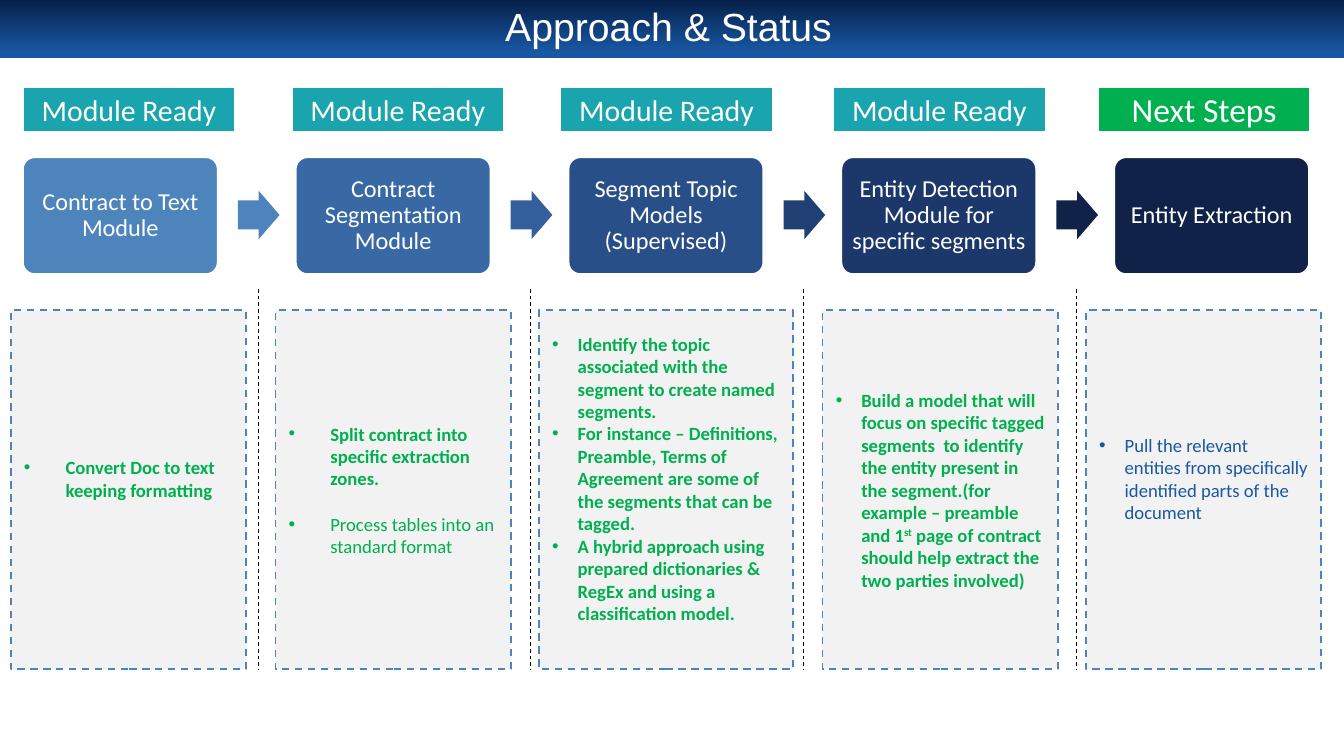
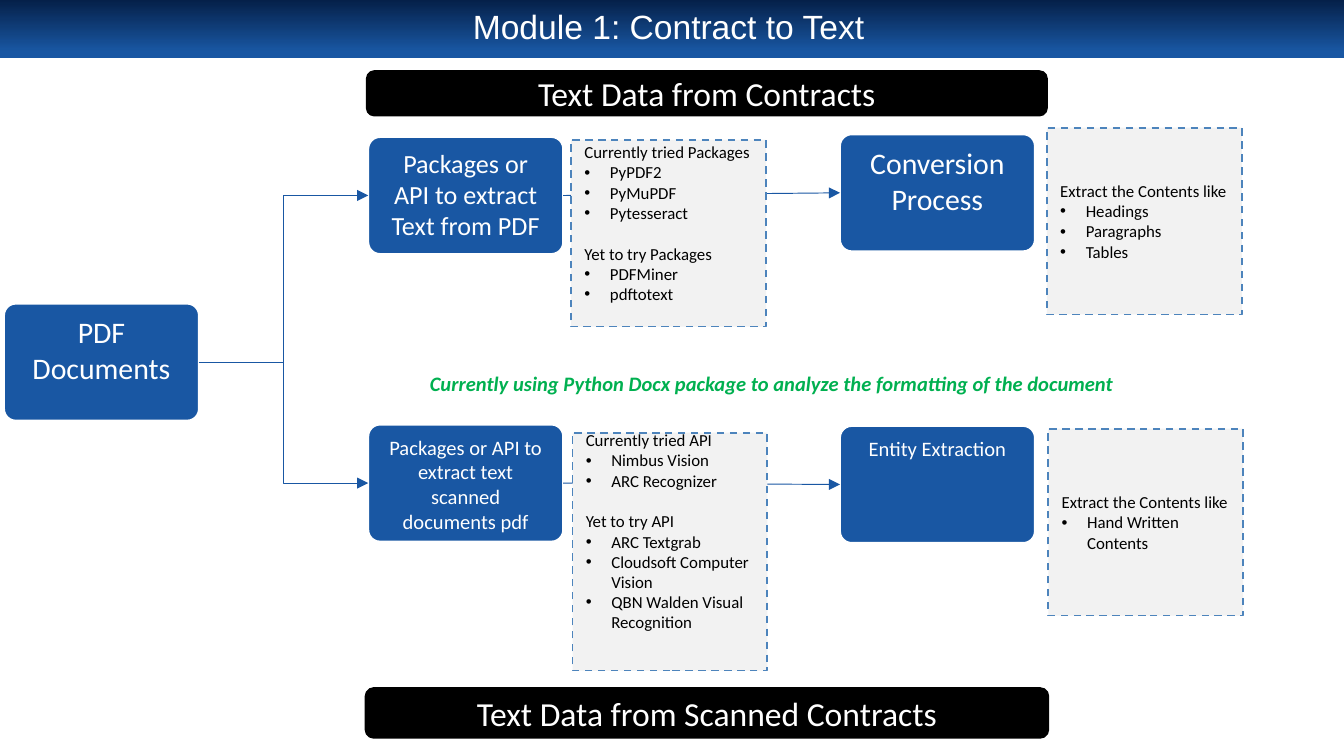
from lxml.etree import SubElement
from pptx import Presentation
from pptx.dml.color import RGBColor
from pptx.enum.dml import MSO_LINE
from pptx.enum.shapes import MSO_CONNECTOR, MSO_SHAPE
from pptx.enum.text import MSO_ANCHOR, MSO_AUTO_SIZE, PP_ALIGN
from pptx.oxml.ns import qn
from pptx.util import Inches, Pt

WIDE = 10
HIGH = WIDE * 9 / 16
HEX = {
    "navy": "052049", "blue": "1957A3", "sky": "4D84BC", "white": "FFFFFF",
    "black": "000000", "pale": "F2F2F2", "green": "00B050", "teal": "1AA4AD",
}

BADGES = [
    (0.17, "Module Ready", "teal", 16),
    (2.17, "Module Ready", "teal", 16),
    (4.17, "Module Ready", "teal", 16),
    (6.2, "Module Ready", "teal", 16),
    (8.17, "Next Steps", "green", 18),
]
STEPS = [
    ("Contract to Text Module", "4D84BC", "4D84BC"),
    ("Contract Segmentation Module", "3869A5", "33609C"),
    ("Segment Topic Models (Supervised)", "294F88", "203F73"),
    ("Entity Detection Module for specific segments", "1C3769", "112248"),
    ("Entity Extraction", "112248", None),
]
NOTES = [
    (0.08, 1.75, 0.31, "green", ["*•Convert Doc to text keeping formatting", ""]),
    (2.05, 1.75, 0.31, "green", [
        "*•Split contract into specific extraction zones.", "",
        "•Process tables into an standard format"]),
    (4.01, 1.89, 0.19, "green", [
        "*•Identify the topic associated with the segment to create named segments.",
        "*•For instance – Definitions, Preamble, Terms of Agreement are some of "
        "the segments that can be tagged.",
        "*•A hybrid approach using prepared dictionaries & RegEx and using a "
        "classification model.", ""]),
    (6.12, 1.75, 0.19, "green", [
        "*•Build a model that will focus on specific tagged segments  to identify "
        "the entity present in the segment.(for example – preamble and 1^st^ page "
        "of contract should help extract the two parties involved)"]),
    (8.08, 1.75, 0.19, "blue", [
        "•Pull the relevant entities from specifically identified parts of the "
        "document", ""]),
]

LABELS = [
    (2.73, 0.53, 5.06, 0.33, "Text Data from Contracts"),
    (2.72, 5.12, 5.08, 0.37, "Text Data from Scanned Contracts"),
]
NODES = {
    "pdf": (0.03, 2.26, "PDF Documents", 16),
    "text": (2.74, 1.02, "Packages or API to extract Text from PDF", 14),
    "conv": (6.25, 1, "Conversion Process", 16),
    "scan": (2.74, 3.16, "Packages or API to extract text scanned documents pdf", 11),
    "ent": (6.25, 3.17, "Entity Extraction", 11),
}
LINKS = [
    ("pdf", "text", MSO_CONNECTOR.ELBOW), ("pdf", "scan", MSO_CONNECTOR.ELBOW),
    ("text", "conv", MSO_CONNECTOR.STRAIGHT), ("scan", "ent", MSO_CONNECTOR.STRAIGHT),
]
LISTS = [
    (7.79, 0.95, 1.39, [
        "Extract the Contents like", "•Headings", "•Paragraphs", "•Tables"]),
    (7.8, 3.19, 1.39, ["Extract the Contents like", "•Hand Written Contents"]),
    (4.25, 1.04, 1.39, [
        "Currently tried Packages", "•PyPDF2", "•PyMuPDF", "•Pytesseract", "",
        "Yet to try Packages", "•PDFMiner", "•pdftotext", ""]),
    (4.26, 3.22, 1.77, [
        "Currently tried API", "•Nimbus Vision", "•ARC Recognizer", "",
        "Yet to try API", "•ARC Textgrab", "•Cloudsoft Computer Vision",
        "•QBN Walden Visual Recognition", "", ""]),
]
REMARK = "Currently using Python Docx package to analyze the formatting of the document"


def tint(name):
    return RGBColor.from_string(HEX.get(name, name))


def style(run, size, color, bold=False, face="Calibri"):
    font = run.font
    font.name, font.size, font.bold = face, Pt(size), bold
    font.color.rgb = tint(color)


def shape(slide, kind, box, fill, edge=None, adjust=()):
    item = slide.shapes.add_shape(kind, *map(Inches, box))
    item.shadow.inherit = False
    for spot, value in enumerate(adjust):
        item.adjustments[spot] = value
    item.fill.solid()
    item.fill.fore_color.rgb = tint(fill)
    if edge:
        item.line.color.rgb = tint(edge)
        item.line.width = Pt(1)
    else:
        item.line.fill.background()
    return item


def label(item, text, size, anchor=MSO_ANCHOR.MIDDLE, face="Calibri"):
    frame = item.text_frame
    frame.text = text
    frame.word_wrap = True
    frame.vertical_anchor = anchor
    para = frame.paragraphs[0]
    para.alignment = PP_ALIGN.CENTER
    style(para.runs[0], size, "white", face=face)
    return para


def bullet(para, indent):
    props = para._p.get_or_add_pPr()
    props.set("marL", str(Inches(indent)))
    props.set("indent", str(-Inches(indent)))
    SubElement(props, qn("a:buFont"), typeface="Arial")
    SubElement(props, qn("a:buChar"), char="•")


def note(slide, box, lines, size, color, indent=0.19):
    item = shape(slide, MSO_SHAPE.RECTANGLE, box, "pale", "sky")
    item.line.dash_style = MSO_LINE.DASH
    frame = item.text_frame
    frame.word_wrap = True
    frame.vertical_anchor = MSO_ANCHOR.MIDDLE
    para, gap = None, 0
    for line in lines:
        if not line:
            gap += 1.22 * size
            continue
        para = frame.add_paragraph() if para else frame.paragraphs[0]
        para.alignment = PP_ALIGN.LEFT
        bold, line = line.startswith("*"), line.lstrip("*")
        if line.startswith("•"):
            bullet(para, indent)
        if gap:
            para.space_before = Pt(gap)
        gap = 0
        for turn, part in enumerate(line.lstrip("•").split("^")):
            run = para.add_run()
            run.text = part
            style(run, size, color, bold)
            if turn % 2:
                run._r.get_or_add_rPr().set("baseline", "30000")
    frame.margin_bottom = Inches(0.05) + Pt(gap)


def link(slide, kind, ends, color):
    wire = slide.shapes.add_connector(kind, *map(Inches, ends))
    wire.line.color.rgb = tint(color)
    wire.line.width = Pt(0.5)
    SubElement(wire.element.find(qn("p:spPr")), qn("a:effectLst"))
    return wire


def page(deck, text, size):
    slide = deck.slides.add_slide(deck.slide_layouts[5])
    title = slide.shapes.title
    title.left, title.top, title.width, title.height = map(Inches, (0.49, 0.05, 8.97, 0.33))
    frame = title.text_frame
    frame.auto_size = MSO_AUTO_SIZE.NONE
    frame.margin_left = frame.margin_right = Inches(0.07)
    frame.margin_top = frame.margin_bottom = Inches(0.04)
    label(title, text, size, face="Arial").line_spacing = 0.9
    return slide


def band(slide):
    item = shape(slide, MSO_SHAPE.RECTANGLE, (0, 0, WIDE, 0.43), "navy")
    item.fill.gradient()
    item.fill.gradient_angle = 270
    for stop, (place, color) in zip(item.fill.gradient_stops, [(0, "navy"), (0.9, "blue")]):
        stop.position = place
        stop.color.rgb = tint(color)
    slide.slide_layout.shapes.element.insert(2, item.element)


def status(deck):
    slide = page(deck, "Approach & Status", 21)
    band(slide)
    pitch = 2.03
    for col, (text, fill, next_fill) in enumerate(STEPS):
        left = 0.17 + col * pitch
        step = shape(slide, MSO_SHAPE.ROUNDED_RECTANGLE, (left, 1.17, 1.45, 0.87),
                     fill, "white", [0.1])
        frame = step.text_frame
        frame.margin_left = frame.margin_right = Inches(0.04)
        label(step, text, 13).line_spacing = 0.9
        if next_fill:
            shape(slide, MSO_SHAPE.RIGHT_ARROW, (left + 1.6, 1.42, 0.31, 0.36),
                  next_fill, adjust=[0.6, 0.5])
            rule = left + 1.75
            wire = link(slide, MSO_CONNECTOR.STRAIGHT, (rule, 2.15, rule, 4.98), "black")
            wire.line.dash_style = MSO_LINE.DASH
    for left, width, indent, color, lines in NOTES:
        note(slide, (left, 2.31, width, 2.67), lines, 10, color, indent)
    for left, text, fill, size in BADGES:
        badge = shape(slide, MSO_SHAPE.RECTANGLE, (left, 0.65, 1.58, 0.33), fill, "white")
        label(badge, text, size)


def module(deck):
    slide = page(deck, "Module 1: Contract to Text", 18)
    for *box, text in LABELS:
        label(shape(slide, MSO_SHAPE.ROUNDED_RECTANGLE, box, "black", "black"), text, 18)
    nodes = {}
    for name, (left, top, text, size) in NODES.items():
        nodes[name] = shape(slide, MSO_SHAPE.ROUNDED_RECTANGLE, (left, top, 1.45, 0.87),
                            "blue", "white", [0.1])
        label(nodes[name], text, size, MSO_ANCHOR.TOP)
    for start, end, kind in LINKS:
        wire = link(slide, kind, (0, 0, 1, 1), "blue")
        wire.begin_connect(nodes[start], 3)
        wire.end_connect(nodes[end], 1)
        SubElement(wire.element.find(qn("p:spPr")).find(qn("a:ln")),
                   qn("a:tailEnd"), type="triangle")
    for left, top, height, lines in LISTS:
        note(slide, (left, top, 1.45, height), lines, 9, "black")
    remark = slide.shapes.add_textbox(*map(Inches, (3.1, 2.71, 5.33, 0.29)))
    remark.text_frame.text = REMARK
    remark.text_frame.word_wrap = False
    run = remark.text_frame.paragraphs[0].runs[0]
    style(run, 11, "green", True)
    run.font.italic = True


def main():
    deck = Presentation()
    deck.slide_width, deck.slide_height = Inches(WIDE), Inches(HIGH)
    status(deck)
    module(deck)
    deck.save("out.pptx")


if __name__ == "__main__":
    main()
